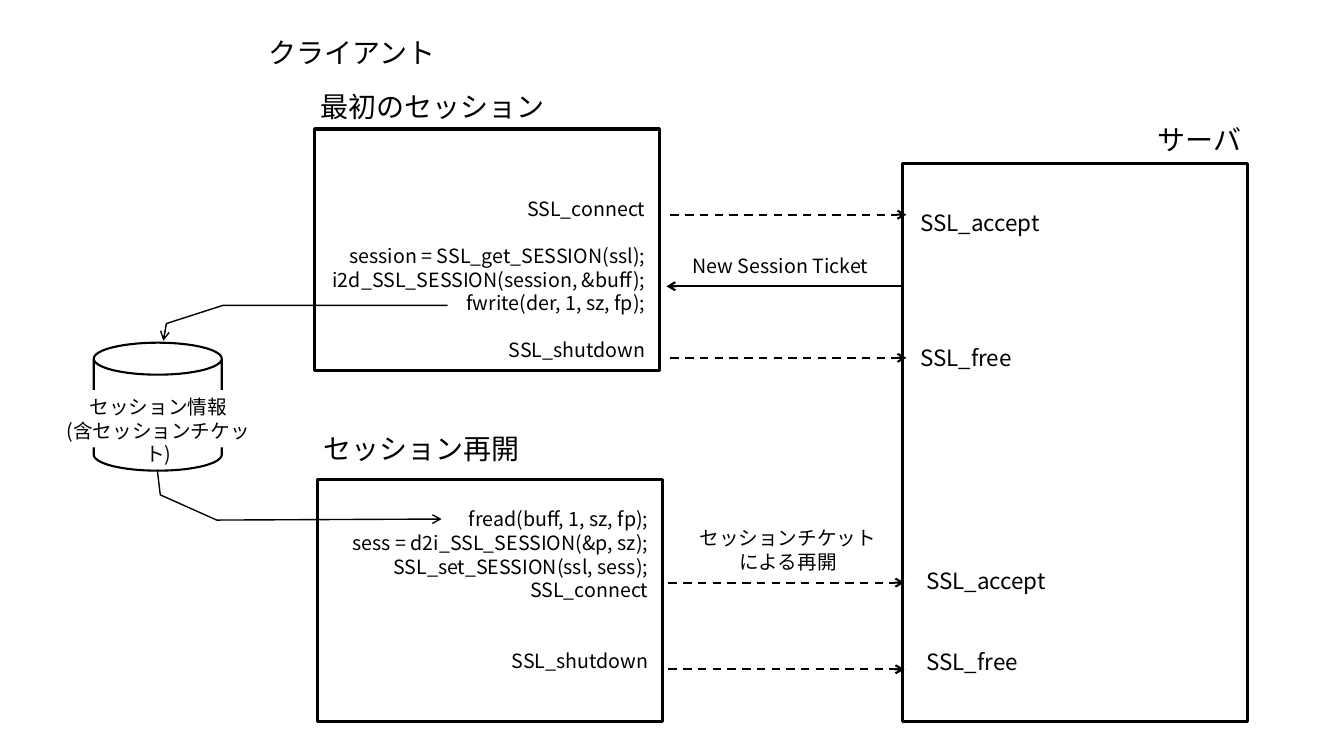
from collections import namedtuple

from lxml import etree
from pptx import Presentation
from pptx import util as u
from pptx.dml import color
from pptx.enum import dml, shapes, text
from pptx.oxml import ns

COLORS = {"ink": "000000", "paper": "FFFFFF"}
FONT = "Noto Sans CJK JP"
LINE_RATIO = 1.2
HEADING, CALL, CODE = 20, 16, 14
HEADING_HEIGHT = 0.44

Box = namedtuple("Box", "left top width height")


def inches(values):
    return [u.Inches(value) for value in values]


def rgb(name):
    return color.RGBColor.from_string(COLORS[name])


def apply(target, formats):
    for name, value in formats.items():
        setattr(target, name, value)


def style_line(line, width, dashed=False, arrow=False):
    line.color.rgb = rgb("ink")
    line.width = u.Pt(width)
    if dashed:
        line.dash_style = dml.MSO_LINE.DASH
    if arrow:
        etree.SubElement(line._get_or_add_ln(), ns.qn("a:tailEnd"), type="arrow")


def write_lines(frame, lines, size, align, wrap=True, side_margin=0.1):
    pitch = size * LINE_RATIO
    apply(frame, {
        "word_wrap": wrap,
        "vertical_anchor": text.MSO_ANCHOR.TOP,
        "margin_left": u.Inches(side_margin),
        "margin_right": u.Inches(side_margin),
        "margin_top": u.Inches(0.05) + u.Pt(lines[0][0] * pitch),
        "margin_bottom": u.Inches(0.05),
    })
    for index, (gap, words) in enumerate(lines):
        para = frame.paragraphs[0] if index == 0 else frame.add_paragraph()
        apply(para, {
            "alignment": align,
            "line_spacing": u.Pt(pitch),
            "space_before": u.Pt(gap * pitch if index else 0),
        })
        span = para.add_run()
        span.text = words
        apply(span.font, {"size": u.Pt(size), "name": FONT})
        span.font.color.rgb = rgb("ink")
        east = etree.SubElement(span.font._element, ns.qn("a:ea"))
        east.set("typeface", FONT)


def add_text(page, box, lines, size, align=text.PP_ALIGN.LEFT, wrap=False):
    label = page.shapes.add_textbox(*inches(box))
    write_lines(label.text_frame, lines, size, align, wrap)
    label.text_frame.auto_size = text.MSO_AUTO_SIZE.SHAPE_TO_FIT_TEXT


def add_heading(page, left, top, width, words):
    add_text(page, Box(left, top, width, HEADING_HEIGHT), [(0, words)], HEADING)


def add_outline(page, kind, box, width):
    outline = page.shapes.add_shape(kind, *inches(box))
    outline.shadow.inherit = False
    outline.fill.background()
    style_line(outline.line, width)


def add_arrow(page, start, end, y, dashed=True):
    arrow = page.shapes.add_connector(
        shapes.MSO_CONNECTOR.STRAIGHT, *inches((start, y, end, y)))
    style_line(arrow.line, 1.5, dashed, True)
    etree.SubElement(arrow._element.spPr, ns.qn("a:effectLst"))


def add_bent_arrow(page, points):
    start, *rest = [inches(point) for point in points]
    builder = page.shapes.build_freeform(*start)
    builder.add_line_segments(rest, close=False)
    arrow = builder.convert_to_shape()
    arrow.shadow.inherit = False
    arrow.fill.background()
    style_line(arrow.line, 1, arrow=True)


def draw_session(page, box, heading, heading_width, rise, code_drop, code_width,
                 lines, arrow_start, arrow_drops):
    add_outline(page, shapes.MSO_SHAPE.RECTANGLE, box, 2.25)
    add_heading(page, box.left - 0.04, box.top - rise, heading_width, heading)
    right = box.left + box.width
    code = Box(right - 0.04 - code_width, box.top + code_drop, code_width, 1.99)
    add_text(page, code, lines, CODE, text.PP_ALIGN.RIGHT, wrap=True)
    for drop in arrow_drops:
        add_arrow(page, right + arrow_start, right + arrow_start + 2.34,
                  box.top + drop)


def draw_server(page, box):
    add_outline(page, shapes.MSO_SHAPE.RECTANGLE, box, 2.25)
    add_heading(page, box.left + 2.43, box.top - 0.45, 1.04, "サーバ")
    for shift, drop, first_gap, second_gap in ((0.08, 0.14, 1, 4), (0.14, 3.16, 3, 2)):
        add_text(page, Box(box.left + shift, box.top + drop, 1.42, 1.99),
                 [(first_gap, "SSL_accept"), (second_gap, "SSL_free")], CALL)


def draw_messages(page, box):
    add_text(page, Box(box.left + 0.16, box.top, 1.99, 0.34),
             [(0, "New Session Ticket")], CODE)
    add_arrow(page, box.left + box.width, box.left, box.top + 0.37, dashed=False)
    add_text(page, Box(box.left + 0.22, box.top + 2.7, 1.97, 0.57),
             [(0, "セッションチケット"), (0, "による再開")], CODE,
             text.PP_ALIGN.CENTER)


def draw_store(page, box):
    add_outline(page, shapes.MSO_SHAPE.CAN, box, 1.5)
    label = page.shapes.add_shape(
        shapes.MSO_SHAPE.RECTANGLE,
        *inches((box.left - 0.52, box.top + 0.47, 2.32, 0.57)))
    label.shadow.inherit = False
    label.fill.solid()
    label.fill.fore_color.rgb = rgb("paper")
    label.line.fill.background()
    write_lines(label.text_frame,
                [(0, "セッション情報"), (0, "(含セッションチケット)")],
                CODE, text.PP_ALIGN.CENTER, side_margin=0.15)
    middle, bottom = box.left + 0.63, box.top + box.height
    add_bent_arrow(page, [(middle + 2.88, box.top - 0.37),
                          (middle + 0.65, box.top - 0.37),
                          (middle + 0.09, box.top - 0.19),
                          (middle + 0.06, box.top - 0.02)])
    add_bent_arrow(page, [(middle, bottom - 0.01),
                          (middle + 0.03, bottom + 0.24),
                          (middle + 0.59, bottom + 0.49),
                          (middle + 2.82, bottom + 0.48)])


def main():
    deck = Presentation()
    deck.slide_width, deck.slide_height = inches((13.33, 7.5))
    page = deck.slides.add_slide(deck.slide_layouts[6])
    add_heading(page, 2.56, 0.3, 1.88, "クライアント")
    draw_server(page, Box(8.95, 1.62, 3.42, 5.54))
    draw_session(
        page, Box(3.12, 1.28, 3.42, 2.4), "最初のセッション", 2.45, 0.44, 0.39, 3.65,
        [(1, "SSL_connect"),
         (1, "session = SSL_get_SESSION(ssl);"),
         (0, "i2d_SSL_SESSION(session, &buff);"),
         (0, "fwrite(der, 1, sz, fp);"),
         (1, "SSL_shutdown")],
        0.11, (0.85, 2.27))
    draw_store(page, Box(0.93, 3.4, 1.27, 1.27))
    draw_session(
        page, Box(3.15, 4.76, 3.42, 2.4), "セッション再開", 2.17, 0.53, -0.01, 4.58,
        [(1, "fread(buff, 1, sz, fp);"),
         (0, "sess = d2i_SSL_SESSION(&p, sz);"),
         (0, "SSL_set_SESSION(ssl, sess);"),
         (0, "SSL_connect"),
         (2, "SSL_shutdown")],
        0.06, (1.02, 1.88))
    draw_messages(page, Box(6.61, 2.47, 2.34, 3.27))
    deck.save("out.pptx")


if __name__ == "__main__":
    main()
